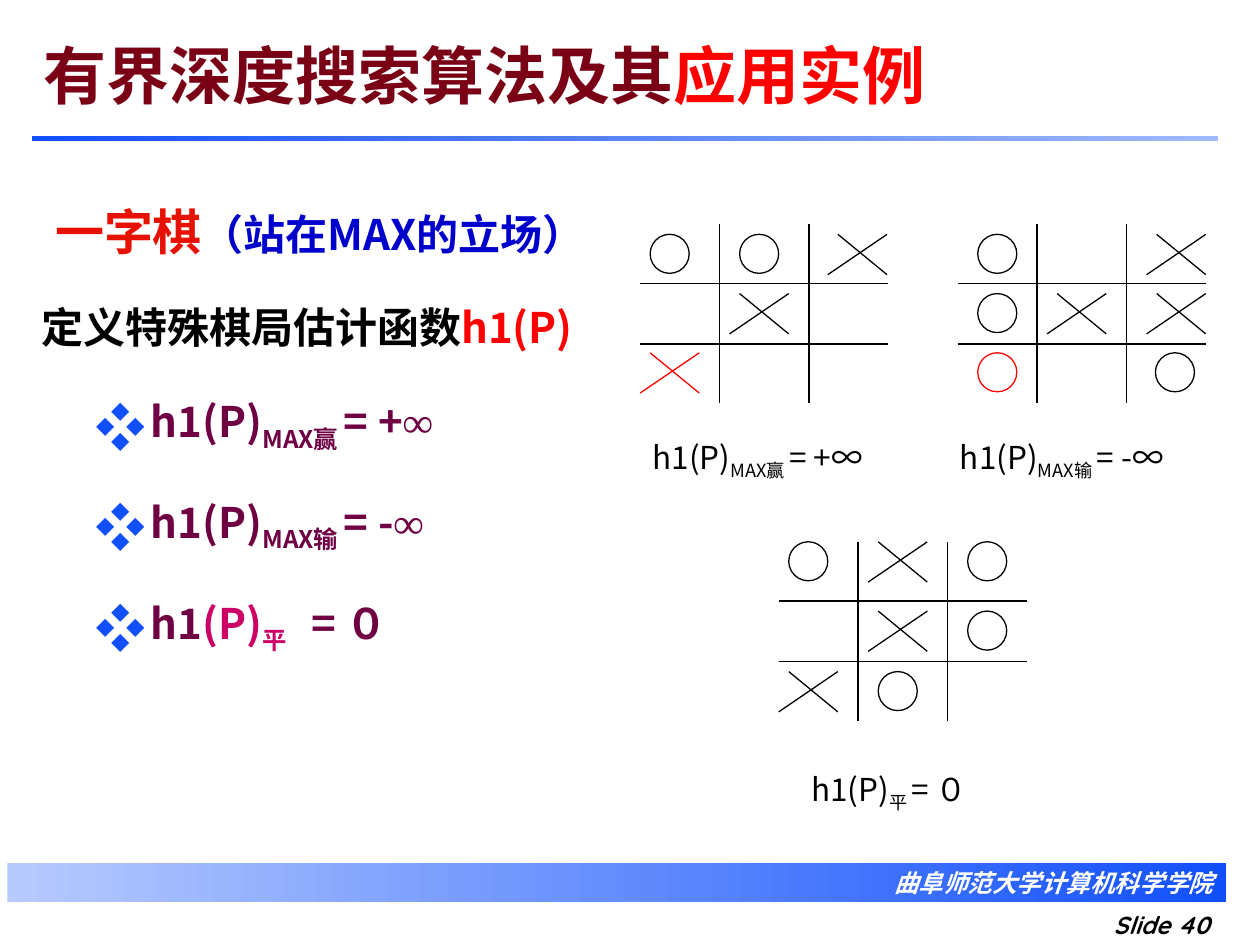
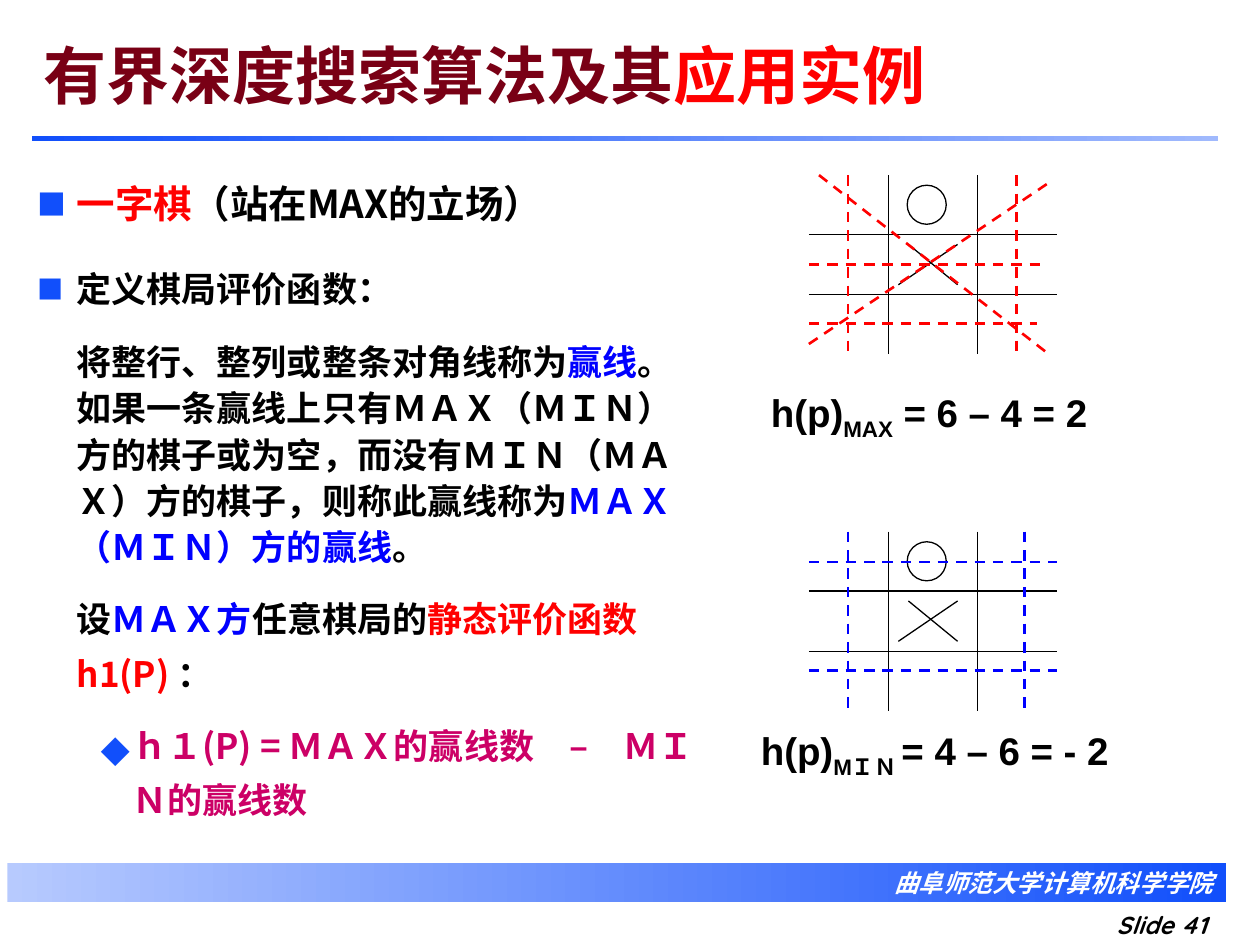
from dataclasses import dataclass

from lxml import etree
from pptx import Presentation
from pptx import util as u
from pptx.dml.color import RGBColor
from pptx.enum import dml, shapes, text as tx
from pptx.oxml import ns


@dataclass(frozen=True)
class Theme:
    black: str = "000000"
    white: str = "FFFFFF"
    red: str = "FF0000"
    blue: str = "0000FF"
    navy: str = "0000CC"
    maroon: str = "790015"
    scarlet: str = "E71101"
    plum: str = "6E0043"
    pink: str = "CC0066"
    accent: str = "114FFB"
    pale: str = "B7CAFE"
    soft: str = "A0B9FD"
    cjk: str = "Noto Sans CJK SC"
    sans: str = "Arial"
    math: str = "Times New Roman"
    foot: str = "Quicksand"
    title: int = 36
    head: int = 28
    lead: int = 24
    mid: int = 22
    body: int = 20
    label: int = 18
    small: int = 14


T = Theme()
ALIGN = {"l": tx.PP_ALIGN.LEFT, "c": tx.PP_ALIGN.CENTER, "r": tx.PP_ALIGN.RIGHT}


def inches(*vals):
    return [u.Inches(v) for v in vals]


def child(node, tag, **attrs):
    return etree.SubElement(node, ns.qn(tag), **attrs)


def style(run, size=T.body, font=T.cjk, color=T.black, bold=False,
          italic=False, sub=False):
    f = run.font
    f.size, f.name, f.bold, f.italic = u.Pt(size), font, bold, italic
    f.color.rgb = RGBColor.from_string(color)
    props = run._r.get_or_add_rPr()
    child(props, "a:ea", typeface=T.math if font == T.math else T.cjk)
    if sub:
        props.set("baseline", "-25000")


def layout(para, align="l", line=1.0, before=0, after=0, left=0, first=0,
           bullet=None, scale=100):
    para.alignment, para.line_spacing = ALIGN[align], line
    para.space_before, para.space_after = u.Pt(before), u.Pt(after)
    props = para._p.get_or_add_pPr()
    props.set("marL", str(u.Inches(left)))
    props.set("indent", str(u.Inches(first)))
    if bullet:
        child(child(props, "a:buClr"), "a:srgbClr", val=T.accent)
        child(props, "a:buSzPct", val=str(scale * 1000))
        child(props, "a:buFont", typeface=T.cjk)
        child(props, "a:buChar", char=bullet)
    else:
        child(props, "a:buNone")


def write(frame, paras, anchor=tx.MSO_ANCHOR.TOP, wrap=True, **base):
    frame.word_wrap, frame.vertical_anchor = wrap, anchor
    for i, (runs, form) in enumerate(paras):
        para = frame.paragraphs[0] if i == 0 else frame.add_paragraph()
        layout(para, **form)
        for words, look in runs:
            run = para.add_run()
            run.text = words
            style(run, **{**base, **look})


def text(slide, box, paras, **fmt):
    write(slide.shapes.add_textbox(*inches(*box)).text_frame, paras, **fmt)


def band(slide, box, start, end):
    bar = slide.shapes.add_shape(shapes.MSO_SHAPE.RECTANGLE, *inches(*box))
    bar.shadow.inherit = False
    bar.line.fill.background()
    bar.fill.gradient()
    bar.fill.gradient_angle = 0
    for stop, color, pos in zip(bar.fill.gradient_stops, (start, end), (0, 1)):
        stop.color.rgb, stop.position = RGBColor.from_string(color), pos
    return bar


def line(slide, x1, y1, x2, y2, color=T.black, width=0.75, dash=False):
    rule = slide.shapes.add_connector(
        shapes.MSO_CONNECTOR.STRAIGHT, *inches(x1, y1, x2, y2))
    rule.line.color.rgb = RGBColor.from_string(color)
    rule.line.width = u.Pt(width)
    if dash:
        rule.line.dash_style = dml.MSO_LINE.DASH
    child(rule._element.spPr, "a:effectLst")


def cross(slide, x, y, color=T.black):
    line(slide, x, y + 0.32, x + 0.47, y, color)
    line(slide, x + 0.08, y, x + 0.47, y + 0.32, color)


def ring(slide, x, y, color=T.black):
    disc = slide.shapes.add_shape(
        shapes.MSO_SHAPE.OVAL, *inches(x, y, 0.31, 0.31))
    disc.shadow.inherit = False
    disc.fill.background()
    disc.line.color.rgb = RGBColor.from_string(color)
    disc.line.width = u.Pt(0.75)


def board(slide, x, y, rings, crosses):
    for dy in (0.47, 0.95):
        line(slide, x, y + dy, x + 1.97, y + dy)
    for dx in (0.63, 1.34):
        line(slide, x + dx, y, x + dx, y + 1.42)
    for mark, spots in ((ring, rings), (cross, crosses)):
        for dx, dy in spots:
            mark(slide, x + dx, y + dy)


def wins(slide, x, y, color, ends):
    for x1, y1, x2, y2 in ends:
        line(slide, x + x1, y + y1, x + x2, y + y2, color, 1.5, True)


def score(slide, box, name, low, value, spread=1.0, **fmt):
    runs = [(name, {}), (low, {"sub": True}), (value, {})]
    text(slide, box, [(runs, {"line": spread})], **fmt)


def frame(deck, num):
    slide = deck.slides.add_slide(deck.slide_layouts[6])
    band(slide, (0.25, 1.08, 9.42, 0.04), T.accent, T.soft)
    bar = band(slide, (0.06, 6.85, 9.67, 0.31), T.pale, T.accent)
    write(bar.text_frame,
          [([("曲阜师范大学计算机科学学院", {})], {"align": "r"})],
          anchor=tx.MSO_ANCHOR.MIDDLE, wrap=False, size=T.small,
          font=T.sans, color=T.white, bold=True, italic=True)
    text(slide, (8.44, 7.17, 1.56, 0.36),
         [([(f"Slide {num}", {})], {"align": "c"})], wrap=False,
         size=T.small, font=T.foot, bold=True, italic=True)
    text(slide, (0.25, 0.25, 7.75, 0.75),
         [([("有界深度搜索算法及其", {}), ("应用实例", {"color": T.red})],
           {"line": 0.9})],
         anchor=tx.MSO_ANCHOR.MIDDLE, size=T.title, color=T.maroon, bold=True)
    return slide


def special(deck):
    slide = frame(deck, 40)
    space = {"line": 1.3, "before": 9, "after": 6}
    item = {**space, "left": 0.94, "first": -0.44, "bullet": "❖", "scale": 120}
    plum, low = {"color": T.plum}, {"color": T.plum, "sub": True}
    pink = {"color": T.pink}
    paras = [
        ([("一字棋", {"size": T.head, "color": T.scarlet}),
          ("（站在MAX的立场）", {"color": T.navy})],
         {**space, "before": 0, "align": "c", "left": 0.31, "first": -0.31}),
        ([("定义特殊棋局估计函数", {}), ("h1(P)", {"color": T.red})],
         {**space, "left": 0.31, "first": -0.24}),
    ]
    for side, sign in (("赢", "+"), ("输", "-")):
        paras.append(([("h1(P)", plum), (f"MAX{side} ", low),
                       (f"= {sign}", plum),
                       ("∞", {**plum, "font": T.math})], item))
    paras.append(([("h1", plum), ("(P)", pink),
                   ("平\u3000", {**pink, "sub": True}), ("= ０", plum)], item))
    text(slide, (0.16, 1.41, 4.76, 5.42), paras, size=T.lead, bold=True)

    board(slide, 5.08, 1.78, [(0.08, 0.08), (0.79, 0.08)],
          [(0.71, 0.55), (1.49, 0.08)])
    cross(slide, 5.08, 2.8, T.red)
    board(slide, 7.6, 1.78, [(0.16, 0.08), (0.16, 0.55), (1.57, 1.02)],
          [(0.71, 0.55), (1.5, 0.08), (1.5, 0.55)])
    ring(slide, 7.76, 2.8, T.red)
    board(slide, 6.18, 4.3, [(0.08, 0), (1.5, 0), (1.5, 0.55), (0.79, 1.03)],
          [(0.71, 0), (0.71, 0.55), (0, 1.03)])
    for box, low, value, spread in (
            ((5.08, 3.36, 2.28, 0.51), "MAX赢 ", "= +∞", 1.2),
            ((7.52, 3.36, 2.28, 0.51), "MAX输 ", "= -∞", 1.2),
            ((6.34, 5.96, 2.2, 0.55), "平 ", "= ０", 1.3)):
        score(slide, box, "h1(P)", low, value, spread, size=T.label)


def general(deck):
    slide = frame(deck, 41)
    red, blue, pink = ({"color": c} for c in (T.red, T.blue, T.pink))
    point = {"line": 1.2, "left": 0.31, "first": -0.31,
             "bullet": "■", "scale": 75}
    plain = {"left": 0.31, "after": 5}
    paras = [
        ([("一字棋", {**red, "size": T.mid}),
          ("（站在MAX的立场）", {"size": T.mid})], {**point, "after": 11}),
        ([("定义棋局评价函数：", {})], {**point, "before": 7.5, "after": 2.5}),
        ([("将整行、整列或整条对角线称为", {}), ("赢线", blue),
          ("。如果一条赢线上只有ＭＡＸ（ＭＩＮ）方的棋子或为空，"
           "而没有ＭＩＮ（ＭＡＸ）方的棋子，则称此赢线称为", {}),
          ("ＭＡＸ（ＭＩＮ）方的赢线", blue), ("。", {})],
         {**plain, "line": 1.1, "before": 13}),
        ([("设", {}), ("ＭＡＸ方", blue), ("任意棋局的", {}),
          ("静态评价函数 h1(P) ", red), ("：", {})],
         {**plain, "line": 1.3, "before": 5}),
        ([("ｈ１(P) = ＭＡＸ的赢线数\u3000", pink),
          ("–", {**pink, "font": T.sans}), ("\u3000ＭＩＮ的赢线数", pink)],
         {"line": 1.3, "before": 5, "after": 5, "left": 0.75, "first": -0.25,
          "bullet": "⬥", "scale": 120}),
    ]
    text(slide, (0.2, 1.31, 5.51, 5.42), paras, size=T.body, bold=True)

    for top in (1.39, 4.22):
        board(slide, 6.42, top, [(0.78, 0.08)], [(0.71, 0.55)])
    wins(slide, 6.42, 1.39, T.red, [
        (0.31, 0, 0.31, 1.42), (1.65, 0, 1.65, 1.42),
        (0, 0.71, 1.89, 0.71), (0, 1.18, 1.81, 1.18),
        (0, 1.34, 1.89, 0.07), (0.08, 0, 1.89, 1.41)])
    wins(slide, 6.42, 4.22, T.blue, [
        (0.31, 0, 0.31, 1.42), (1.71, 0, 1.71, 1.42),
        (0, 0.24, 1.97, 0.24), (0, 1.1, 1.97, 1.1)])
    for box, low, value in (
            ((6.02, 3.04, 2.99, 0.52), "MAX", " = 6 – 4 = 2"),
            ((5.94, 5.72, 3.23, 0.52), "MＩＮ ", "= 4 – 6 = - 2")):
        score(slide, box, "h(p)", low, value,
              size=T.mid, font=T.sans, bold=True)


def main():
    deck = Presentation()
    deck.slide_width, deck.slide_height = inches(10, 7.5)
    special(deck)
    general(deck)
    deck.save("out.pptx")


if __name__ == "__main__":
    main()
